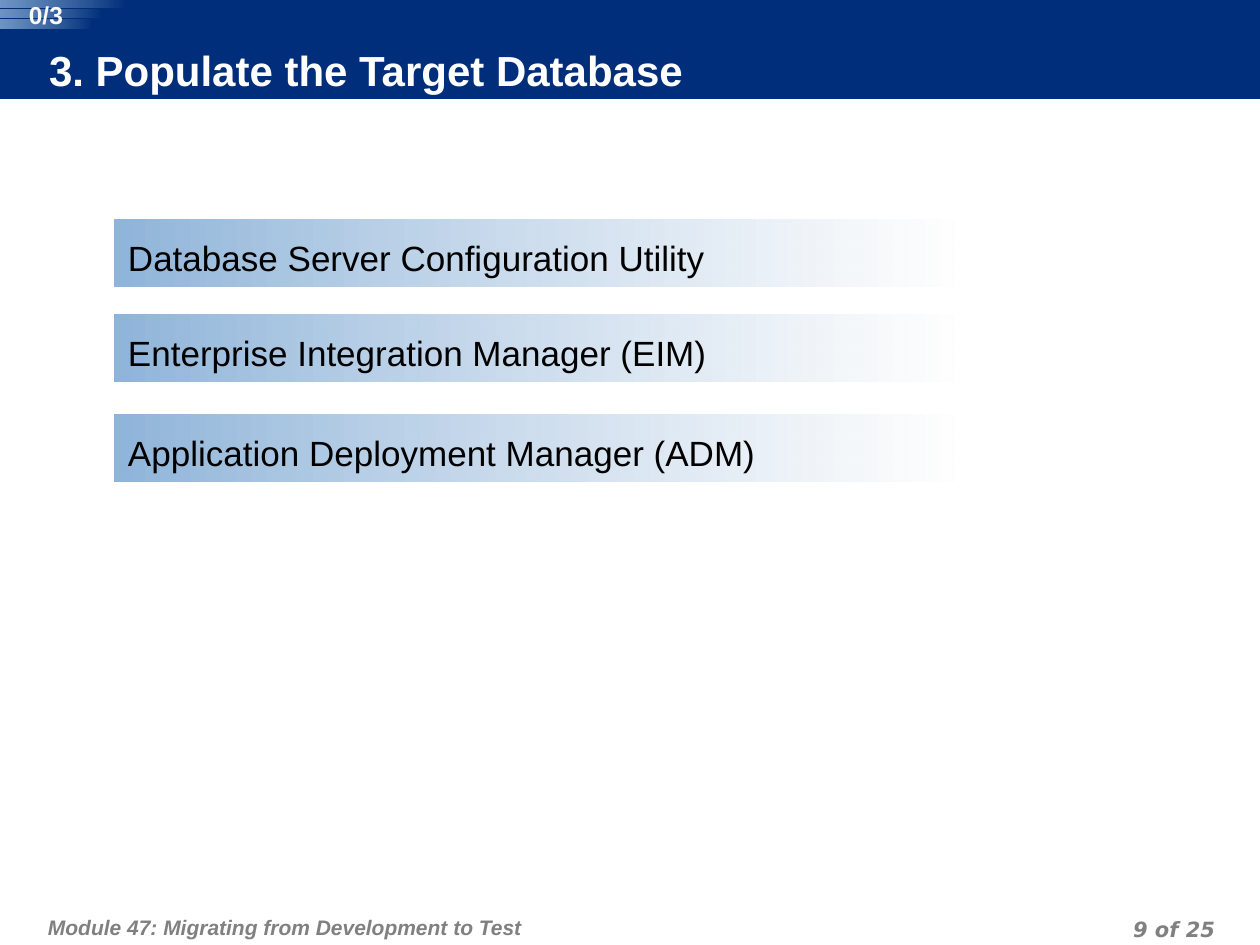
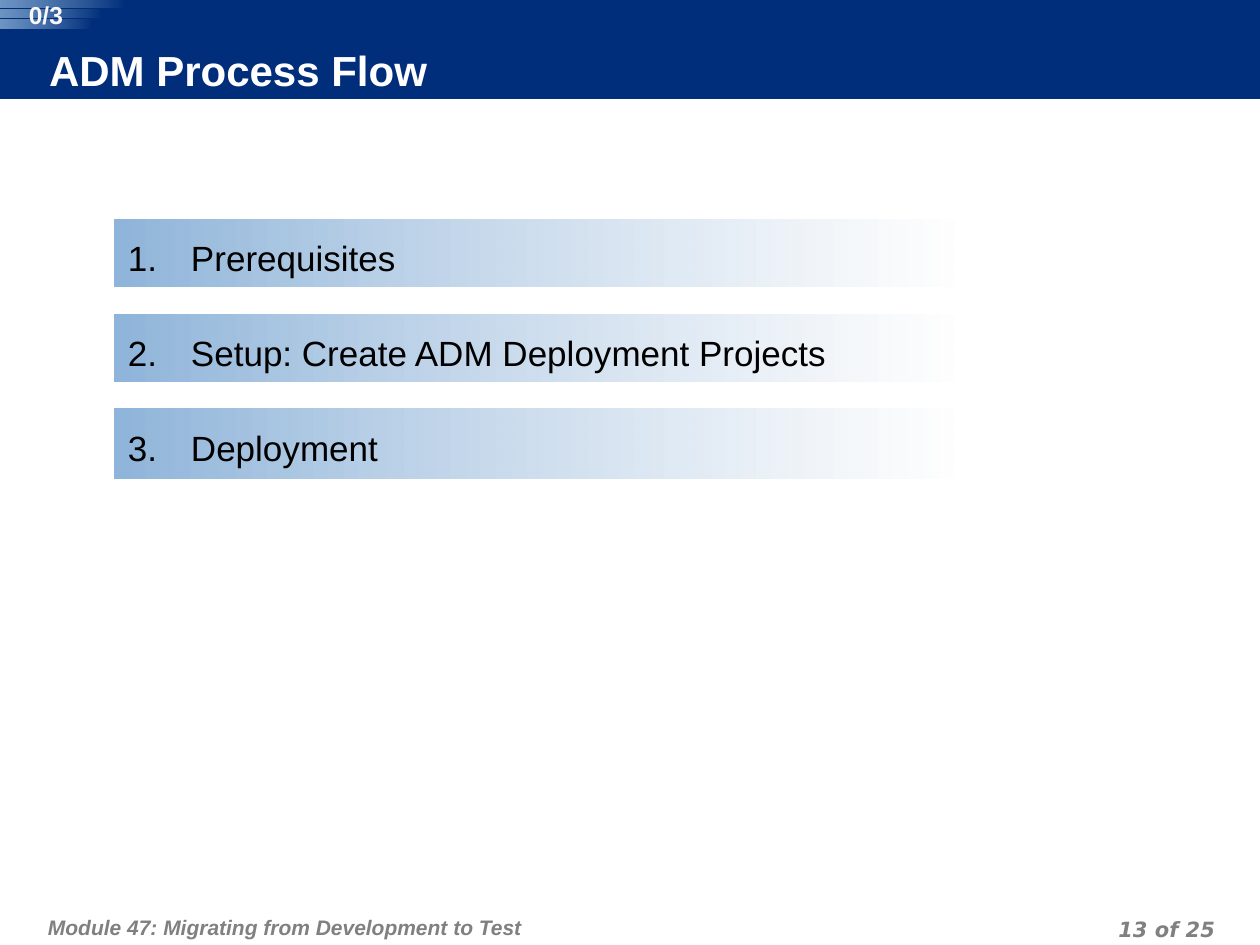
from pptx import Presentation
from pptx.dml.color import RGBColor
from pptx.enum.shapes import MSO_SHAPE
from pptx.enum.text import MSO_ANCHOR, PP_ALIGN
from pptx.oxml.ns import qn
from pptx.util import Pt
from lxml.etree import SubElement

# Content
SLIDES = [
    dict(title="3. Populate the Target Database", page="9 of 25", numbered=False,
         bars=[("Database Server Configuration Utility", 220, 67),
               ("Enterprise Integration Manager (EIM)", 315, 67),
               ("Application Deployment Manager (ADM)", 415, 67)]),
    dict(title="ADM Process Flow", page="13 of 25", numbered=True,
         bars=[("Prerequisites", 220, 67),
               ("Setup: Create ADM Deployment Projects", 315, 67),
               ("Deployment", 409, 70)]),
]
MODULE = "Module 47: Migrating from Development to Test"
COUNT = "0/3"

# Shared style
NAVY, SKY, PALE = "002E7A", "90B5DA", "FEFEFE"
WHITE, SOFT, GREY, BLACK = "FFFFFF", "F8F8F8", "808080", "000000"
SANS, WIDE = "Arial", "DejaVu Sans"
STRIPES = [(127, 8), (103, 8), (92, 9)]
STEP = 10
INDENT = 63


def px(n):
    return round(n * 914400 / 126)


def rgb(code):
    return RGBColor.from_string(code)


def rect(shapes, box, color=None):
    shape = shapes.add_shape(MSO_SHAPE.RECTANGLE, *map(px, box))
    shape.shadow.inherit = False
    shape.line.fill.background()
    if color:
        shape.fill.solid()
        shape.fill.fore_color.rgb = rgb(color)
    return shape


def fade(shape, right, left):
    """Fade from right to left; each end is a colour and an opacity."""
    shape.fill.gradient()
    shape.fill.gradient_angle = 180
    for stop, (color, alpha) in zip(shape.fill.gradient_stops, (right, left)):
        stop.color.rgb = rgb(color)
    marks = shape.element.spPr.findall(".//" + qn("a:srgbClr"))
    for mark, (color, alpha) in zip(marks, (right, left)):
        if alpha < 100:
            SubElement(mark, qn("a:alpha")).set("val", str(alpha * 1000))


def write(shape, text, size, color, pads=(0, 0, 0, 0), face=SANS, bold=True,
          slant=False, align=PP_ALIGN.LEFT, anchor=MSO_ANCHOR.TOP):
    frame = shape.text_frame
    frame.word_wrap = True
    frame.vertical_anchor = anchor
    (frame.margin_left, frame.margin_top,
     frame.margin_right, frame.margin_bottom) = map(px, pads)
    para = frame.paragraphs[0]
    para.alignment = align
    run = para.add_run()
    run.text = text
    font = run.font
    font.size, font.name, font.bold, font.italic = Pt(size), face, bold, slant
    font.color.rgb = rgb(color)
    return para


def label(shapes, box, *args, **style):
    return write(shapes.add_textbox(*map(px, box)), *args, **style)


def number(para, start):
    props = para._p.get_or_add_pPr()
    props.set("marL", str(px(INDENT)))
    props.set("indent", str(-px(INDENT)))
    auto = SubElement(props, qn("a:buAutoNum"))
    auto.set("type", "arabicPeriod")
    auto.set("startAt", str(start))


def frame(shapes, title, page):
    # Title band
    rect(shapes, (0, 0, 1260, 99), NAVY)
    head = rect(shapes, (49, 48, 1155, 50), NAVY)
    write(head, title, 24, WHITE, (0, 0, 6, 6), anchor=MSO_ANCHOR.MIDDLE)
    # Footer
    foot = dict(size=12, color=GREY, slant=True)
    notes = [label(shapes, (42, 895, 779, 50), MODULE, pads=(6, 13, 6, 6), **foot),
             label(shapes, (927, 910, 294, 31), page, pads=(6, 0, 6, 0),
                   face=WIDE, align=PP_ALIGN.RIGHT, **foot)]
    for para in notes:
        para.line_spacing = Pt(18)
    # Counter in the corner
    group = shapes.add_group_shape().shapes
    for i, (width, height) in enumerate(STRIPES):
        fade(rect(group, (0, i * STEP, width, height)), (NAVY, 100), (SKY, 76))
    label(group, (14, 0, 64, 29), COUNT, 14, SOFT, align=PP_ALIGN.CENTER)


def main():
    deck = Presentation()
    deck.slide_width, deck.slide_height = px(1260), px(945)
    for item in SLIDES:
        shapes = deck.slides.add_slide(deck.slide_layouts[6]).shapes
        frame(shapes, item["title"], item["page"])
        # Topic bars
        for i, (text, top, height) in enumerate(item["bars"], 1):
            bar = rect(shapes, (115, top, 840, height))
            fade(bar, (PALE, 75), (SKY, 100))
            para = write(bar, text, 20, BLACK, (13, 13, 13, 6), bold=False,
                         anchor=MSO_ANCHOR.MIDDLE)
            if item["numbered"]:
                number(para, i)
    deck.save("out.pptx")


if __name__ == "__main__":
    main()
